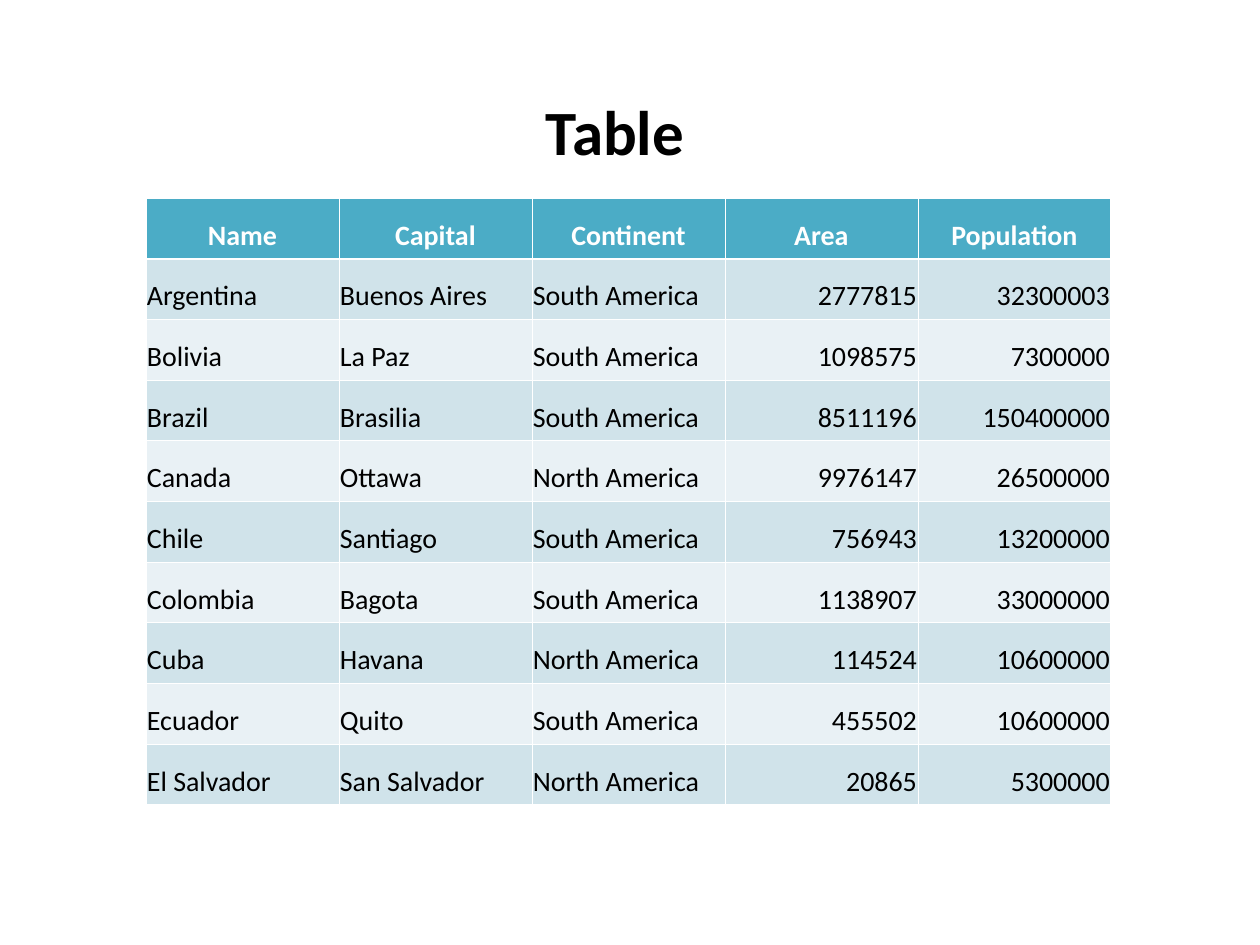
from lxml import etree
from pptx import Presentation
from pptx import util as u
from pptx.dml.color import RGBColor
from pptx.enum import text
from pptx.oxml import ns

EMU_PER_PX = 914400 / 126
FONT = "Calibri"
COLORS = {
    "header": "4BACC6",
    "odd": "D0E3EA",
    "even": "E9F1F5",
    "white": "FFFFFF",
    "black": "000000",
}
LEFT, CENTER, RIGHT = (
    text.PP_ALIGN.LEFT, text.PP_ALIGN.CENTER, text.PP_ALIGN.RIGHT)
COLUMN_ALIGNMENTS = [LEFT, LEFT, LEFT, RIGHT, RIGHT]
HEADERS = ["Name", "Capital", "Continent", "Area", "Population"]
COUNTRIES = [
    ("Argentina", "Buenos Aires", "South America", 2777815, 32300003),
    ("Bolivia", "La Paz", "South America", 1098575, 7300000),
    ("Brazil", "Brasilia", "South America", 8511196, 150400000),
    ("Canada", "Ottawa", "North America", 9976147, 26500000),
    ("Chile", "Santiago", "South America", 756943, 13200000),
    ("Colombia", "Bagota", "South America", 1138907, 33000000),
    ("Cuba", "Havana", "North America", 114524, 10600000),
    ("Ecuador", "Quito", "South America", 455502, 10600000),
    ("El Salvador", "San Salvador", "North America", 20865, 5300000),
]


def px(length):
    return u.Emu(round(length * EMU_PER_PX))


def write_text(frame, content, size=16, color="black", bold=False, align=LEFT):
    paragraph = frame.paragraphs[0]
    paragraph.alignment = align
    run = paragraph.add_run()
    run.text = content
    run.font.name = FONT
    run.font.size = u.Pt(size)
    run.font.bold = bold
    run.font.color.rgb = RGBColor.from_string(COLORS[color])


def set_borders(cell, top=0.45, bottom=0.45):
    properties = cell._tc.get_or_add_tcPr()
    widths = {"lnL": 0.45, "lnR": 0.45, "lnT": top, "lnB": bottom}
    # Borders come before the fill in the cell properties
    for index, (side, width) in enumerate(widths.items()):
        line = etree.Element(ns.qn(f"a:{side}"), w=str(u.Pt(width)))
        fill = etree.SubElement(line, ns.qn("a:solidFill"))
        etree.SubElement(fill, ns.qn("a:srgbClr"), val=COLORS["white"])
        properties.insert(index, line)


def format_cell(cell, fill):
    cell.fill.solid()
    cell.fill.fore_color.rgb = RGBColor.from_string(COLORS[fill])
    cell.vertical_anchor = text.MSO_ANCHOR.BOTTOM
    cell.margin_left = cell.margin_right = px(1)
    cell.margin_top = cell.margin_bottom = px(6)


def add_title(slide, content):
    title = slide.shapes.title
    title.left, title.top, title.width, title.height = (
        px(481), px(86), px(268), px(88))
    frame = title.text_frame
    frame.word_wrap = True
    frame.vertical_anchor = text.MSO_ANCHOR.TOP
    write_text(frame, content, size=36, bold=True, align=CENTER)


def add_country_table(slide):
    rows = [HEADERS, *COUNTRIES]
    table = slide.shapes.add_table(
        len(rows), len(HEADERS), px(146), px(198), px(965), px(607)).table
    for row_index, row in enumerate(rows):
        is_header = row_index == 0
        fill = "header" if is_header else ("odd" if row_index % 2 else "even")
        for column_index, value in enumerate(row):
            cell = table.cell(row_index, column_index)
            format_cell(cell, fill)
            set_borders(cell,
                        top=1.47 if row_index == 1 else 0.45,
                        bottom=1.47 if is_header else 0.45)
            write_text(cell.text_frame, str(value), bold=is_header,
                       color="white" if is_header else "black",
                       align=CENTER if is_header else COLUMN_ALIGNMENTS[column_index])


def main():
    presentation = Presentation()
    presentation.slide_width, presentation.slide_height = px(1260), px(945)
    slide = presentation.slides.add_slide(presentation.slide_layouts[5])
    # Title above the table
    add_title(slide, "Table")
    # Countries with alternating row fills
    add_country_table(slide)
    presentation.save("out.pptx")


if __name__ == "__main__":
    main()
